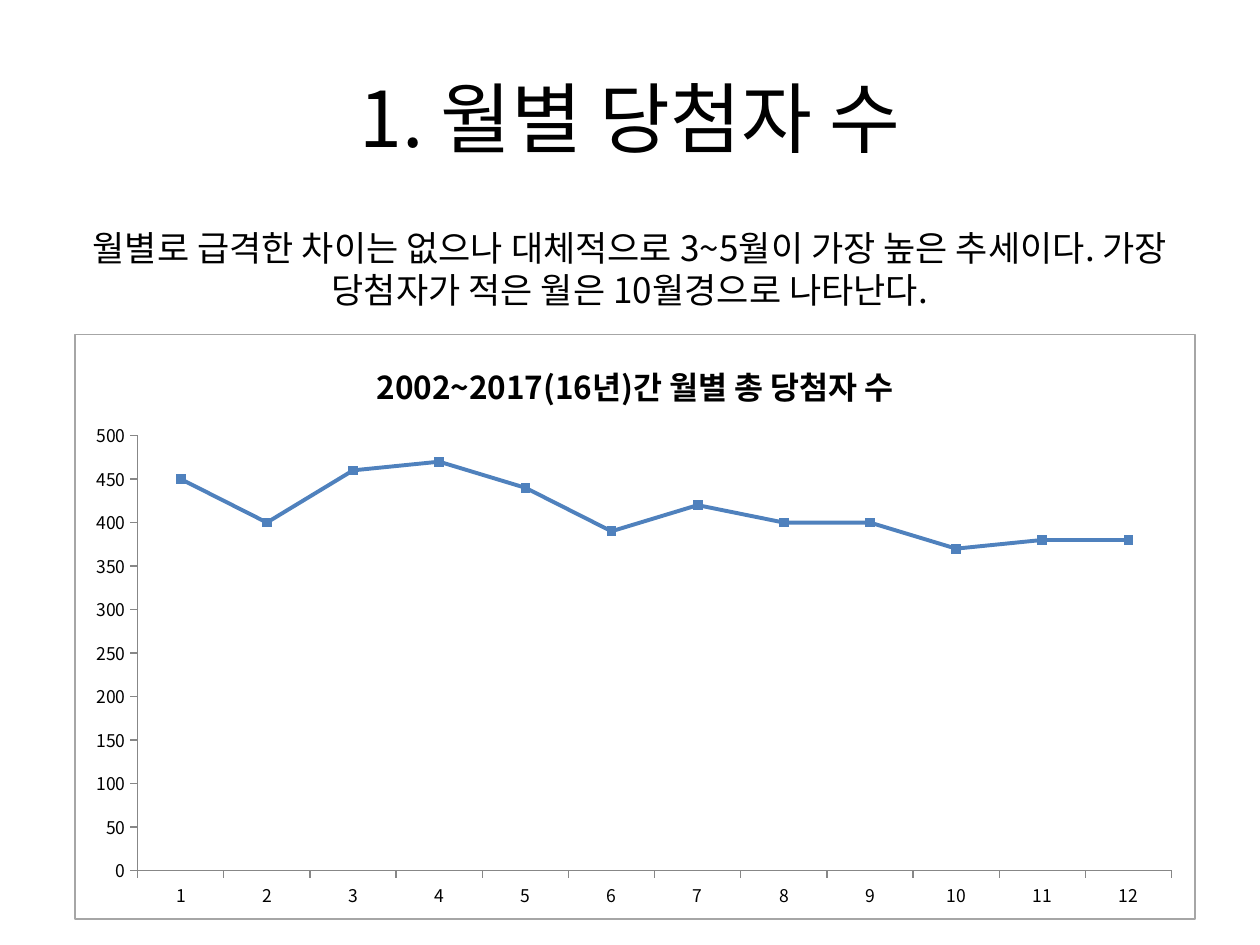
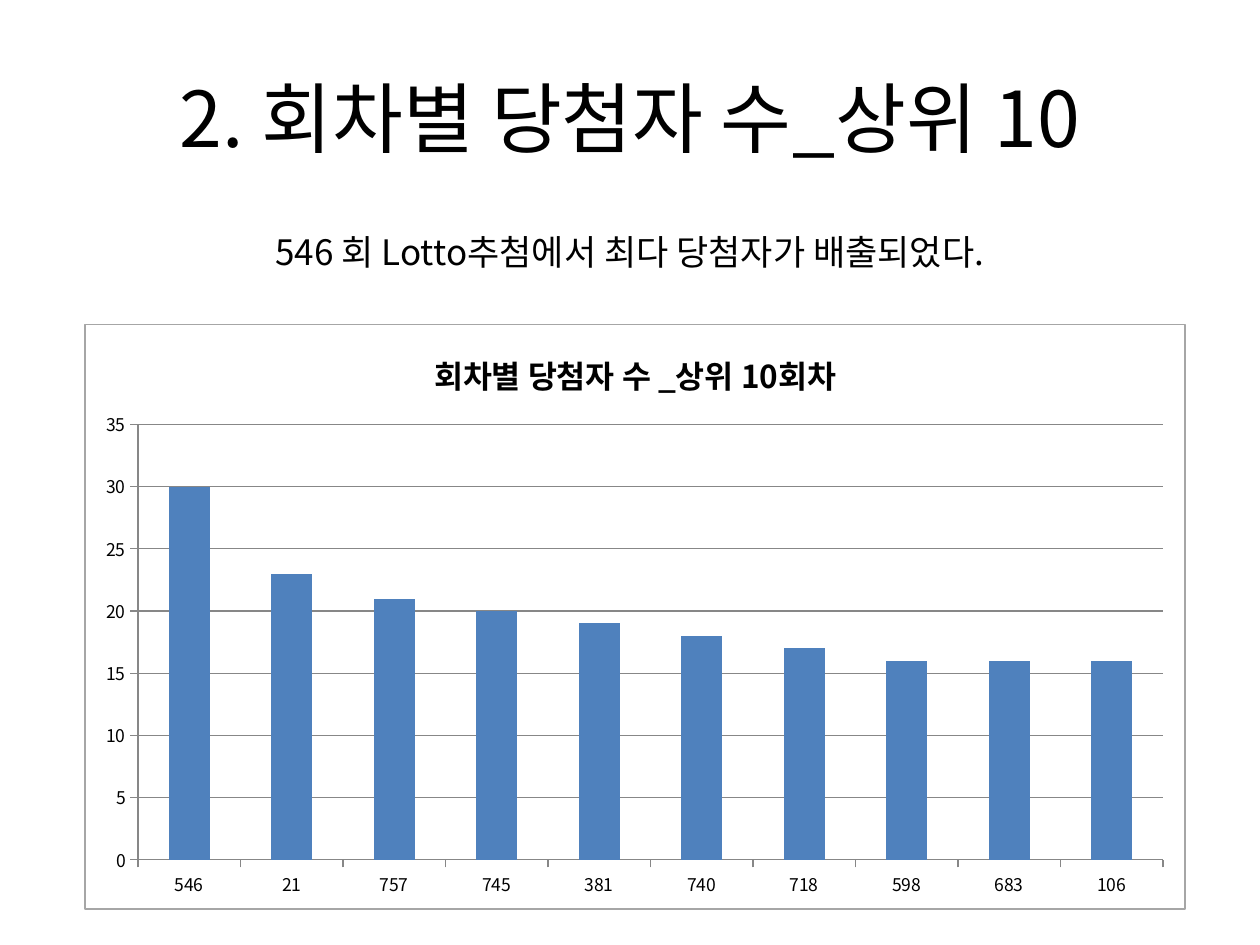
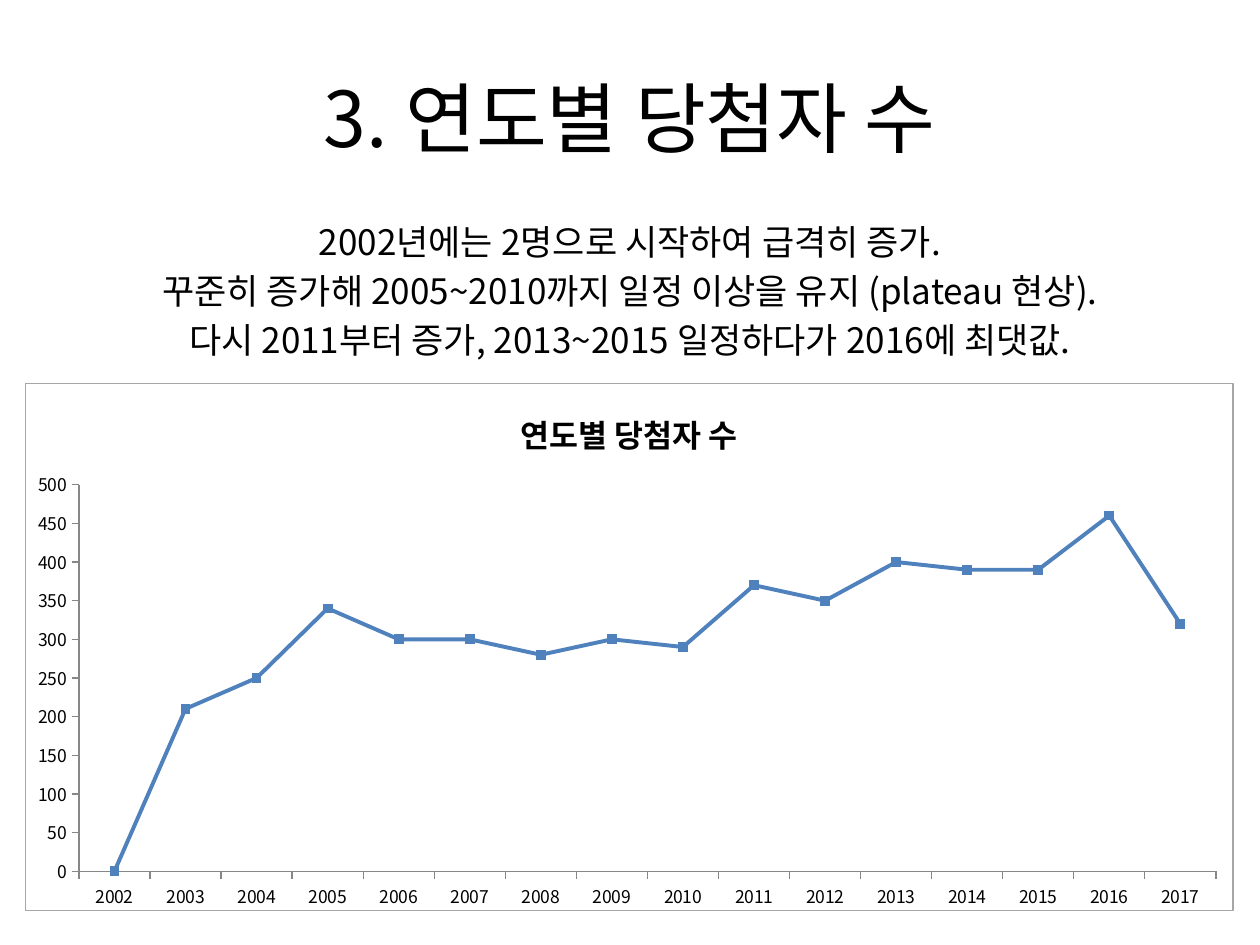
from dataclasses import dataclass

from lxml import etree
from pptx import Presentation
from pptx import util as u
from pptx.chart.data import CategoryChartData
from pptx.dml.color import RGBColor
from pptx.enum import chart as charts, text
from pptx.oxml import parse_xml
from pptx.oxml.ns import nsdecls, qn

FONT = "Noto Sans CJK KR"
COLORS = {"text": "000000", "series": "4F81BD", "axis": "878787", "border": "A6A6A6"}
LINE = charts.XL_CHART_TYPE.LINE_MARKERS
COLUMN = charts.XL_CHART_TYPE.COLUMN_CLUSTERED
TITLE_ONLY = 5


@dataclass
class ChartPage:
    """One page: a title, a few comments and a chart."""
    title: str
    comments: list[str]
    comment_top: float
    chart_title: str
    kind: int
    frame: tuple[float, float, float, float]
    plot: tuple[float, float, float, float]
    categories: list
    values: list[int]
    top_value: int
    step: int


PAGES = [
    ChartPage(
        "1. 월별 당첨자 수",
        ["월별로 급격한 차이는 없으나 대체적으로 3~5월이 가장 높은 추세이다. "
         "가장 당첨자가 적은 월은 10월경으로 나타난다."],
        1.75, "2002~2017(16년)간 월별 총 당첨자 수", LINE,
        (0.59, 2.65, 8.9, 4.65), (0.056, 0.173, 0.923, 0.744),
        list(range(1, 13)),
        [450, 400, 460, 470, 440, 390, 420, 400, 400, 370, 380, 380], 500, 50),
    ChartPage(
        "2. 회차별 당첨자 수_상위 10",
        ["546 회 Lotto추첨에서 최다 당첨자가 배출되었다."],
        1.78, "회차별 당첨자 수 _상위 10회차", COLUMN,
        (0.67, 2.57, 8.74, 4.65), (0.048, 0.171, 0.932, 0.745),
        [546, 21, 757, 745, 381, 740, 718, 598, 683, 106],
        [30, 23, 21, 20, 19, 18, 17, 16, 16, 16], 35, 5),
    ChartPage(
        "3. 연도별 당첨자 수",
        ["2002년에는 2명으로 시작하여 급격히 증가.",
         "꾸준히 증가해 2005~2010까지 일정 이상을 유지 (plateau 현상).",
         "다시 2011부터 증가, 2013~2015 일정하다가 2016에 최댓값."],
        1.7, "연도별 당첨자 수", LINE,
        (0.2, 3.04, 9.59, 4.19), (0.044, 0.192, 0.942, 0.734),
        list(range(2002, 2018)),
        [0, 210, 250, 340, 300, 300, 280, 300, 290, 370, 350, 400, 390, 390, 460, 320],
        500, 50),
]


def color(name: str) -> RGBColor:
    """Look up a palette colour."""
    return RGBColor.from_string(COLORS[name])


def style_font(font, size: float, bold: bool = False) -> None:
    """Apply the deck's typeface, size and colour."""
    font.name, font.size, font.bold = FONT, u.Pt(size), bold
    font.color.rgb = color("text")


def style_paragraph(para, size: float, bold: bool = False) -> None:
    """Centre a paragraph and set its font."""
    para.alignment = text.PP_ALIGN.CENTER
    style_font(para.font, size, bold)


def add_title(slide, title: str) -> None:
    """Fill and place the title placeholder."""
    box = slide.shapes.title
    box.left, box.top = u.Inches(0.5), u.Inches(0.3)
    box.width, box.height = u.Inches(9), u.Inches(1.25)
    box.text_frame.text = title
    box.text_frame.vertical_anchor = text.MSO_ANCHOR.MIDDLE
    style_paragraph(box.text_frame.paragraphs[0], 44)


def add_comments(slide, comments: list[str], top: float) -> None:
    """Add the centred comments under the title."""
    box = slide.shapes.add_textbox(u.Inches(0.5), u.Inches(top), u.Inches(9), u.Inches(4.95))
    frame = box.text_frame
    frame.word_wrap = True
    frame.margin_left = frame.margin_right = u.Inches(0.16)
    frame.text = "\n".join(comments)
    for para in frame.paragraphs:
        style_paragraph(para, 20)
        para.space_before = u.Pt(4)


def frame_chart(chart, plot: tuple[float, float, float, float]) -> None:
    """Give the chart a thin border and fix its inner plot area."""
    border = parse_xml(
        f'<c:spPr {nsdecls("c", "a")}><a:noFill/><a:ln w="9525"><a:solidFill>'
        f'<a:srgbClr val="{COLORS["border"]}"/></a:solidFill></a:ln></c:spPr>')
    chart.element.find(qn("c:txPr")).addprevious(border)
    area = chart.element.find(".//" + qn("c:plotArea"))
    for old in area.findall(qn("c:layout")):
        area.remove(old)
    layout = etree.Element(qn("c:layout"))
    manual = etree.SubElement(layout, qn("c:manualLayout"))
    settings = [("layoutTarget", "inner"), ("xMode", "edge"), ("yMode", "edge"),
                *zip("xywh", plot)]
    for tag, value in settings:
        etree.SubElement(manual, qn(f"c:{tag}")).set("val", str(value))
    area.insert(0, layout)


def style_axes(chart, page: ChartPage) -> None:
    """Set scale, ticks and lines of both axes."""
    for axis in (chart.category_axis, chart.value_axis):
        axis.major_tick_mark = charts.XL_TICK_MARK.OUTSIDE
        axis.minor_tick_mark = charts.XL_TICK_MARK.NONE
        axis.format.line.color.rgb = color("axis")
        axis.format.line.width = u.Pt(0.75)
    axis = chart.value_axis
    axis.minimum_scale, axis.maximum_scale = 0, page.top_value
    axis.major_unit = page.step
    axis.has_major_gridlines = page.kind == COLUMN
    if axis.has_major_gridlines:
        axis.major_gridlines.format.line.color.rgb = color("axis")
        axis.major_gridlines.format.line.width = u.Pt(0.75)


def style_series(plot, kind: int) -> None:
    """Colour the single series as a line or as columns."""
    plot.vary_by_categories = False
    series = plot.series[0]
    if kind == COLUMN:
        plot.gap_width = 150
        series.format.fill.solid()
        series.format.fill.fore_color.rgb = color("series")
        return
    series.smooth = False
    series.format.line.color.rgb = color("series")
    series.format.line.width = u.Pt(2.25)
    series.marker.style = charts.XL_MARKER_STYLE.SQUARE
    series.marker.size = 5
    series.marker.format.fill.solid()
    series.marker.format.fill.fore_color.rgb = color("series")
    series.marker.format.line.color.rgb = color("series")


def add_chart(slide, page: ChartPage) -> None:
    """Add the page's chart."""
    data = CategoryChartData()
    data.categories = [str(category) for category in page.categories]
    data.add_series("Series 1", page.values)
    chart = slide.shapes.add_chart(page.kind, *map(u.Inches, page.frame), data).chart
    style_font(chart.font, 10)
    chart.has_legend = False
    chart.has_title = True
    chart.chart_title.include_in_layout = False
    chart.chart_title.text_frame.text = page.chart_title
    style_paragraph(chart.chart_title.text_frame.paragraphs[0], 18, bold=True)
    style_axes(chart, page)
    style_series(chart.plots[0], page.kind)
    frame_chart(chart, page.plot)


def main() -> None:
    """Build and save the deck."""
    deck = Presentation()
    deck.slide_width, deck.slide_height = u.Inches(10), u.Inches(7.5)
    for page in PAGES:
        slide = deck.slides.add_slide(deck.slide_layouts[TITLE_ONLY])
        add_title(slide, page.title)
        add_comments(slide, page.comments, page.comment_top)
        add_chart(slide, page)
    deck.save("out.pptx")


main()
